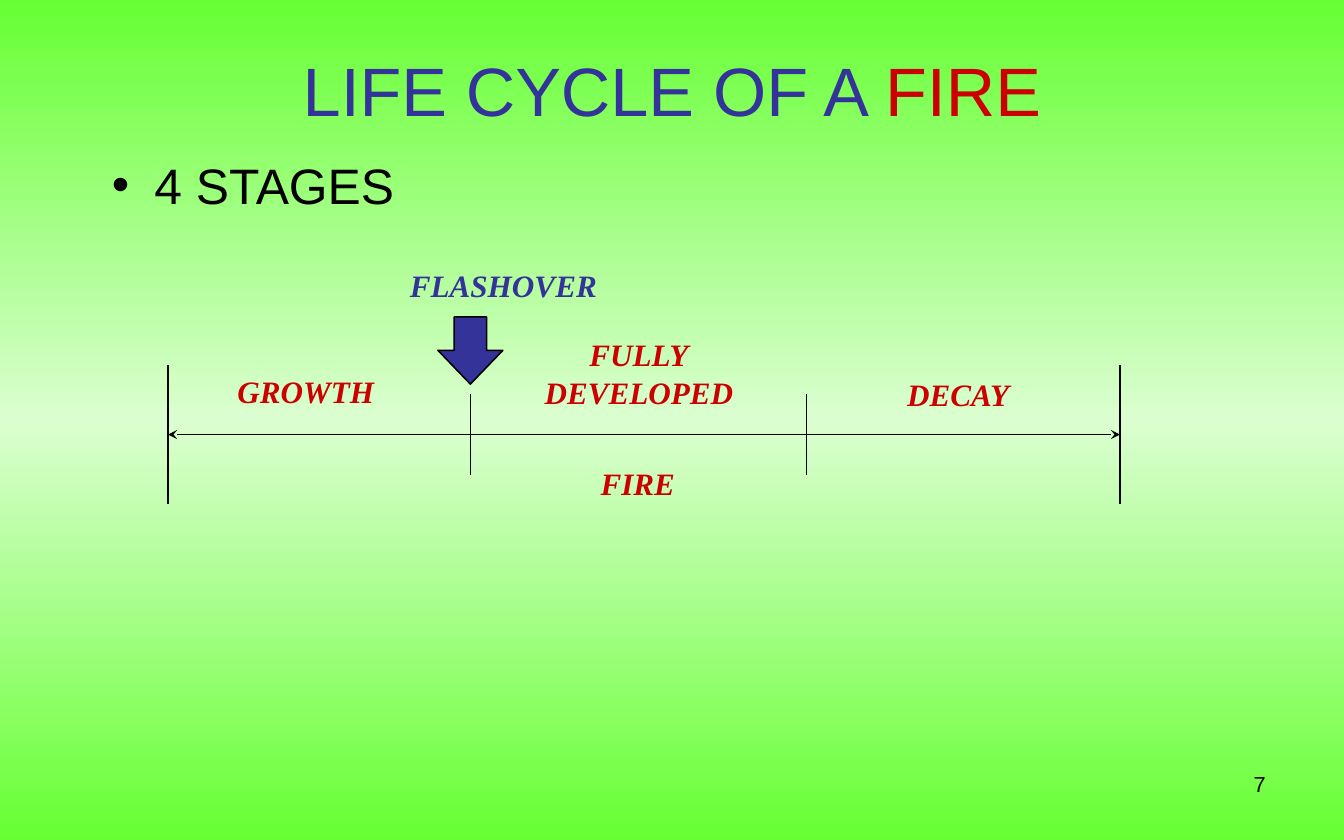
from copy import deepcopy

from lxml import etree
from pptx import Presentation
from pptx.dml.color import RGBColor
from pptx.enum import shapes, text
from pptx.oxml import ns
from pptx.util import Inches, Pt

BLUE = RGBColor(0x33, 0x33, 0x99)
RED = RGBColor(0xCC, 0x00, 0x00)
BLACK = RGBColor(0x00, 0x00, 0x00)
GREEN = RGBColor(0x66, 0xFF, 0x33)
PALE_GREEN = RGBColor(0xDB, 0xFE, 0xD0)

ALIGN = text.PP_ALIGN
LABEL = {"name": "Times New Roman", "size": Pt(20), "bold": True, "italic": True}


def add_text(parent, box, lines, font, align=ALIGN.LEFT, wrap=True,
             anchor=text.MSO_ANCHOR.TOP):
    """Add a text box; each line is a list of (wording, colour) spans."""
    shape = parent.shapes.add_textbox(*map(Inches, box))
    frame = shape.text_frame
    frame.word_wrap = wrap
    frame.vertical_anchor = anchor
    for index, spans in enumerate(lines):
        para = frame.add_paragraph() if index else frame.paragraphs[0]
        para.alignment = align
        for wording, colour in spans:
            span = para.add_run()
            span.text = wording
            span.font.color.rgb = colour
            for key, value in font.items():
                setattr(span.font, key, value)
    return shape


def add_line(parent, start, end, arrows=False):
    """Add a thin black line, with stealth arrowheads at both ends if asked."""
    line = parent.shapes.add_connector(
        shapes.MSO_CONNECTOR.STRAIGHT, *map(Inches, start + end))
    line.line.color.rgb = BLACK
    line.line.width = Pt(1)
    if arrows:
        stroke = line.line._get_or_add_ln()
        for tag in ("a:headEnd", "a:tailEnd"):
            etree.SubElement(stroke, ns.qn(tag), type="stealth")
    etree.SubElement(line._element.spPr, ns.qn("a:effectLst"))


def paint_background(page):
    """Fill the page with a green gradient that is pale in the middle."""
    fill = page.background.fill
    fill.gradient()
    fill.gradient_angle = 90
    stop_list = page._element.find(".//" + ns.qn("a:gsLst"))
    stop_list.insert(1, deepcopy(stop_list[0]))
    for stop, position, colour in zip(
            fill.gradient_stops, (0, 0.5, 1), (GREEN, PALE_GREEN, GREEN)):
        stop.position = position
        stop.color.rgb = colour


def add_title(page, box):
    """Add the two-colour title."""
    add_text(page, box, [[("LIFE CYCLE OF A ", BLUE), ("FIRE", RED)]],
             {"name": "Arial", "size": Pt(44)}, ALIGN.CENTER,
             anchor=text.MSO_ANCHOR.MIDDLE)


def add_bullet(page, box):
    """Add the bulleted line below the title."""
    shape = add_text(page, box, [[("4 STAGES", BLACK)]],
                     {"name": "Arial", "size": Pt(32)})
    para = shape.text_frame.paragraphs[0]
    para.space_before = Pt(8)
    layout = para._p.get_or_add_pPr()
    layout.set("marL", str(Inches(0.38)))
    layout.set("indent", str(Inches(-0.38)))
    etree.SubElement(layout, ns.qn("a:buFont"), typeface="Arial")
    etree.SubElement(layout, ns.qn("a:buChar"), char="•")


def add_timeline(page, box):
    """Add the grouped timeline of fire stages, with the flashover arrow."""
    left, top, width, height = box
    group = page.shapes.add_group_shape()
    axis = top + 1.55
    add_line(group, (left, axis), (left + width, axis), arrows=True)
    for offset, reach in ((0, 0.62), (2.7, 0.36), (5.7, 0.36), (width, 0.62)):
        add_line(group, (left + offset, axis - reach), (left + offset, axis + reach))

    labels = (
        (0.52, 0.95, 1.42, 0.43, ["GROWTH"], RED),
        (3.76, 1.77, 0.87, 0.43, ["FIRE"], RED),
        (3.26, 0.62, 1.89, 0.77, ["FULLY", "DEVELOPED"], RED),
        (6.49, 0.97, 1.13, 0.43, ["DECAY"], RED),
        (2.06, 0, 1.87, 0.43, ["FLASHOVER"], BLUE),
    )
    for across, down, wide, high, words, colour in labels:
        add_text(group, (left + across, top + down, wide, high),
                 [[(word, colour)] for word in words], LABEL,
                 ALIGN.CENTER, wrap=False)

    arrow = group.shapes.add_shape(
        shapes.MSO_SHAPE.DOWN_ARROW,
        *map(Inches, (left + 2.41, top + 0.5, 0.58, 0.6)))
    arrow.adjustments[0] = 0.5
    arrow.adjustments[1] = 0.52
    arrow.shadow.inherit = False
    arrow.fill.solid()
    arrow.fill.fore_color.rgb = BLUE
    arrow.line.color.rgb = BLACK
    arrow.line.width = Pt(1)


def add_page_number(page, box):
    """Add the page number at the lower right."""
    add_text(page, box, [[("7", BLACK)]],
             {"name": "Arial", "size": Pt(14)}, ALIGN.RIGHT)


def build_deck():
    """Build and save the one-page deck."""
    deck = Presentation()
    deck.slide_width, deck.slide_height = Inches(12), Inches(7.5)
    page = deck.slides.add_slide(deck.slide_layouts[6])
    paint_background(page)
    add_title(page, (0.9, 0.17, 10.2, 1.25))
    add_bullet(page, (0.9, 1.33, 10.2, 0.75))
    add_timeline(page, (1.5, 2.33, 8.5, 2.2))
    add_page_number(page, (8.6, 6.83, 2.8, 0.52))
    deck.save("out.pptx")


build_deck()
